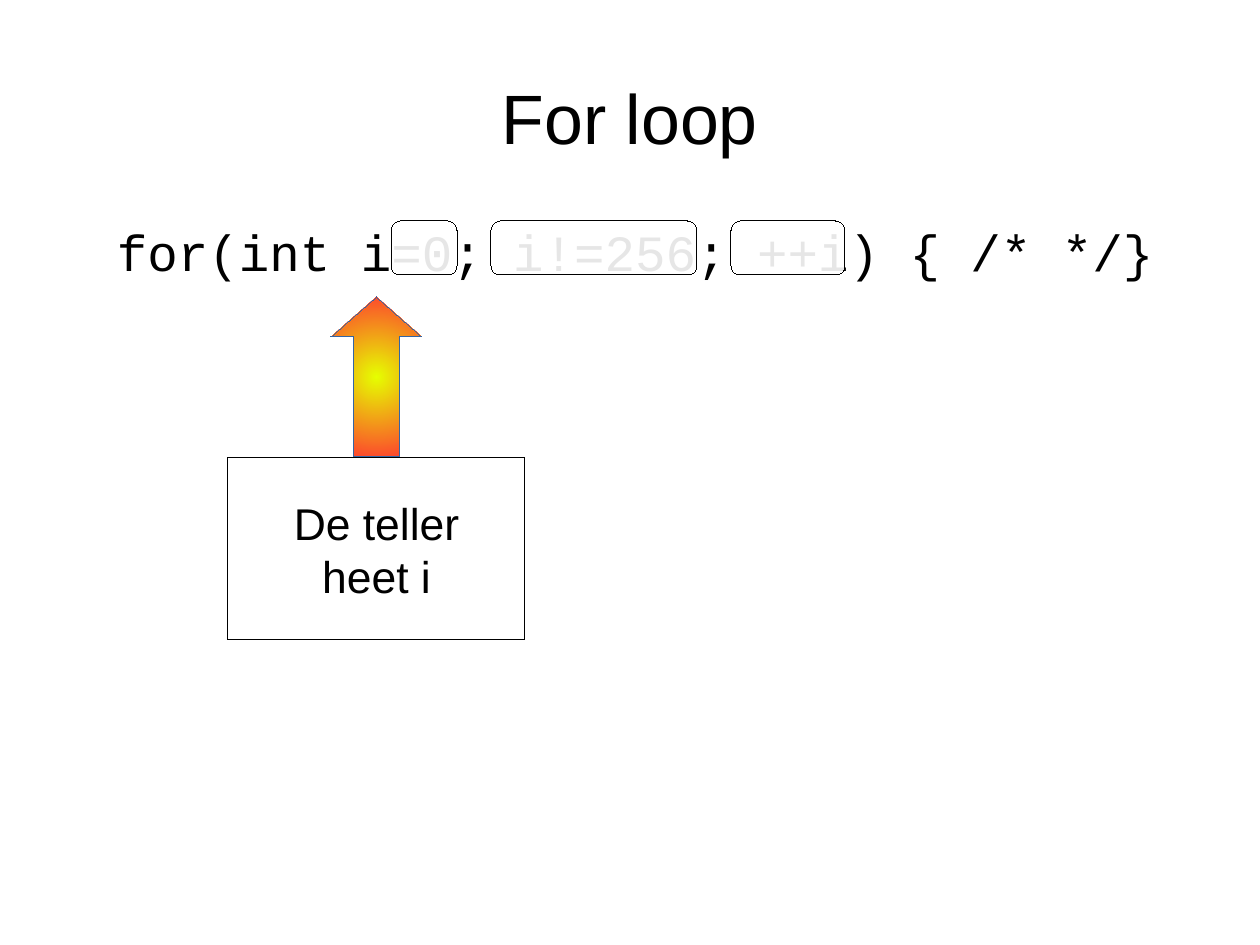
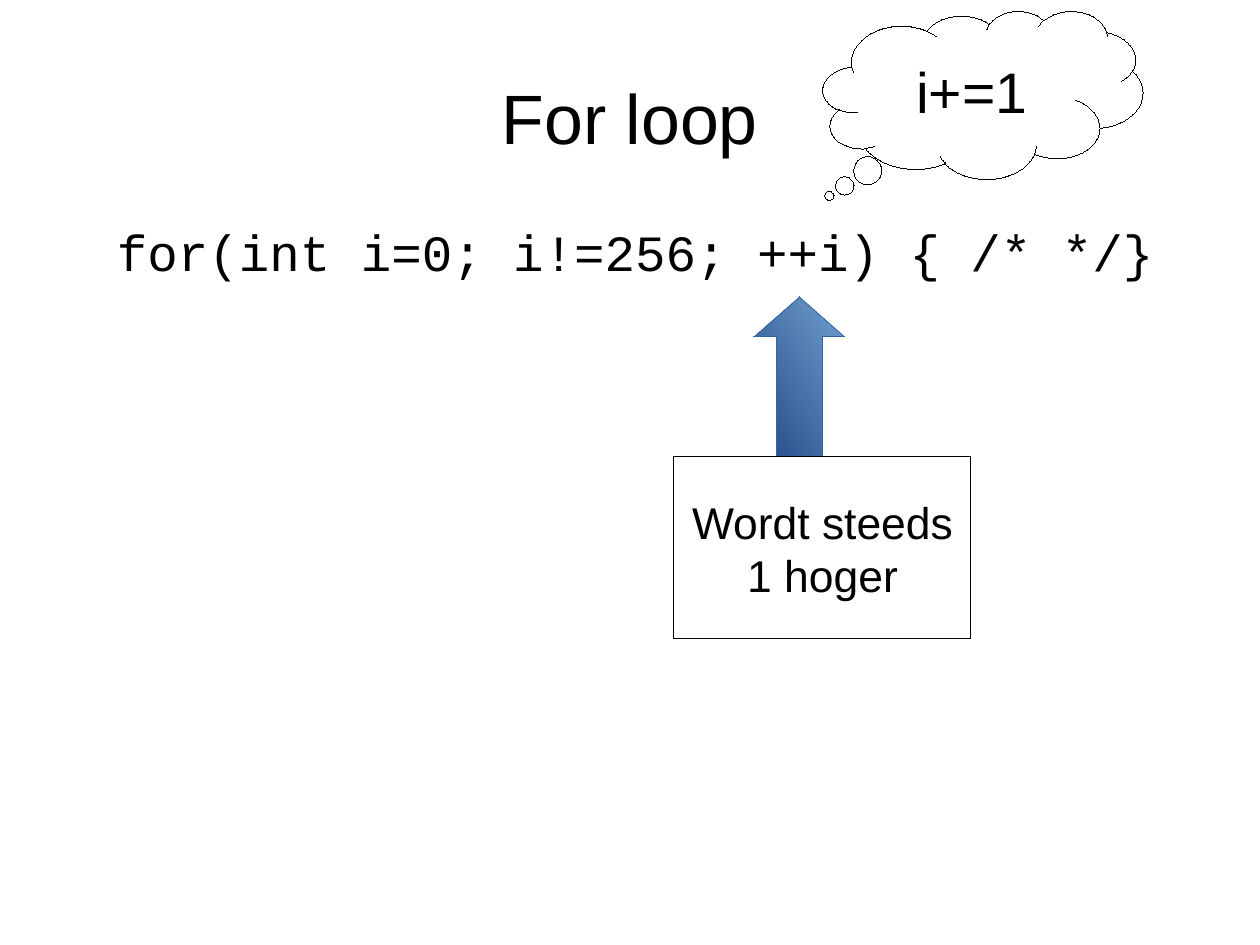
from lxml.etree import SubElement
from pptx import Presentation
from pptx.dml.color import RGBColor
from pptx.enum.shapes import MSO_SHAPE as SHAPE
from pptx.enum.text import MSO_ANCHOR as ANCHOR, PP_ALIGN as ALIGN
from pptx.oxml.ns import qn
from pptx.util import Pt

PX = 8000
SLIDE_SIZE = (1260, 945)
TITLE_BOX = (63, 38, 1134, 158)
CODE_BOX = (63, 221, 1134, 548)
CODE_INDENT = 54
MASK_TOP, MASK_HEIGHT = 221, 54
ARROW_TOP, ARROW_SIZE = 297, (91, 160)
NOTE_SIZE = (297, 182)
BLACK, WHITE, ARROW_EDGE = "000000", "FFFFFF", "3465A4"
SANS, MONO = "Arial", "Courier New"


def emu(*lengths):
    return [length * PX for length in lengths]


def color(value):
    return RGBColor.from_string(value)


def write(frame, lines, size, font=SANS, align=ALIGN.CENTER):
    frame.text = "\n".join(lines)
    for paragraph in frame.paragraphs:
        paragraph.alignment = align
        paragraph.font.size = Pt(size)
        paragraph.font.name = font
        paragraph.font.color.rgb = color(BLACK)


def add_text(slide, box, line, size, font, align, anchor, indent=0):
    frame = slide.shapes.add_textbox(*emu(*box)).text_frame
    frame.word_wrap = True
    frame.vertical_anchor = anchor
    frame.margin_left = indent * PX
    frame.margin_top = frame.margin_right = frame.margin_bottom = 0
    write(frame, [line], size, font, align)


def add_outlined(slide, kind, box, edge=BLACK, adjustments=()):
    shape = slide.shapes.add_shape(kind, *emu(*box))
    shape.shadow.inherit = False
    for index, value in enumerate(adjustments):
        shape.adjustments[index] = value
    shape.fill.solid()
    shape.fill.fore_color.rgb = color(WHITE)
    shape.line.color.rgb = color(edge)
    shape.element.spPr.find(qn("a:ln")).set("w", "0")
    return shape


def add_label(slide, kind, box, lines, size, adjustments=()):
    shape = add_outlined(slide, kind, box, adjustments=adjustments)
    shape.text_frame.word_wrap = False
    shape.text_frame.vertical_anchor = ANCHOR.MIDDLE
    write(shape.text_frame, lines, size)


def add_mask(slide, left, width):
    box = (left, MASK_TOP, width, MASK_HEIGHT)
    mask = add_outlined(slide, SHAPE.ROUNDED_RECTANGLE, box, adjustments=[0.17])
    fill_color = mask.element.spPr.find(qn("a:solidFill"))[0]
    SubElement(fill_color, qn("a:alpha")).set("val", "90000")


def make_radial(shape):
    gradient = shape.element.spPr.find(qn("a:gradFill"))
    gradient.remove(gradient.find(qn("a:lin")))
    circle = SubElement(gradient, qn("a:path"))
    circle.set("path", "circle")
    center = SubElement(circle, qn("a:fillToRect"))
    for side in "ltrb":
        center.set(side, "50000")


def add_arrow(slide, left, stops, angle=None):
    box = (left, ARROW_TOP, *ARROW_SIZE)
    arrow = add_outlined(slide, SHAPE.UP_ARROW, box, ARROW_EDGE, [0.5, 0.44])
    arrow.fill.gradient()
    for stop, value in zip(arrow.fill.gradient_stops, stops):
        stop.color.rgb = color(value)
    if angle is None:
        make_radial(arrow)
    else:
        arrow.fill.gradient_angle = angle


def add_note(slide, left, top, lines):
    add_label(slide, SHAPE.RECTANGLE, (left, top, *NOTE_SIZE), lines, 28)


def add_loop_slide(deck):
    slide = deck.slides.add_slide(deck.slide_layouts[6])
    add_text(slide, TITLE_BOX, "For loop", 44, SANS, ALIGN.CENTER, ANCHOR.MIDDLE)
    add_text(slide, CODE_BOX, "for(int i=0; i!=256; ++i) { /* */}", 32, MONO,
             ALIGN.LEFT, ANCHOR.TOP, CODE_INDENT)
    return slide


def build_counter_slide(deck):
    slide = add_loop_slide(deck)
    for left, width in [(731, 114), (491, 206), (391, 66)]:
        add_mask(slide, left, width)
    add_arrow(slide, 331, ["E6FF00", "FF3333"])
    add_note(slide, 228, 458, ["De teller", "heet i"])


def build_increment_slide(deck):
    slide = add_loop_slide(deck)
    add_arrow(slide, 754, ["729FCF", "204A87"], angle=210)
    add_note(slide, 674, 457, ["Wordt steeds", "1 hoger"])
    add_label(slide, SHAPE.CLOUD_CALLOUT, (823, 11, 320, 168), ["i+=1"], 36,
              [-0.48, 0.6])


def main():
    deck = Presentation()
    deck.slide_width, deck.slide_height = emu(*SLIDE_SIZE)
    build_counter_slide(deck)
    build_increment_slide(deck)
    deck.save("out.pptx")


if __name__ == "__main__":
    main()
